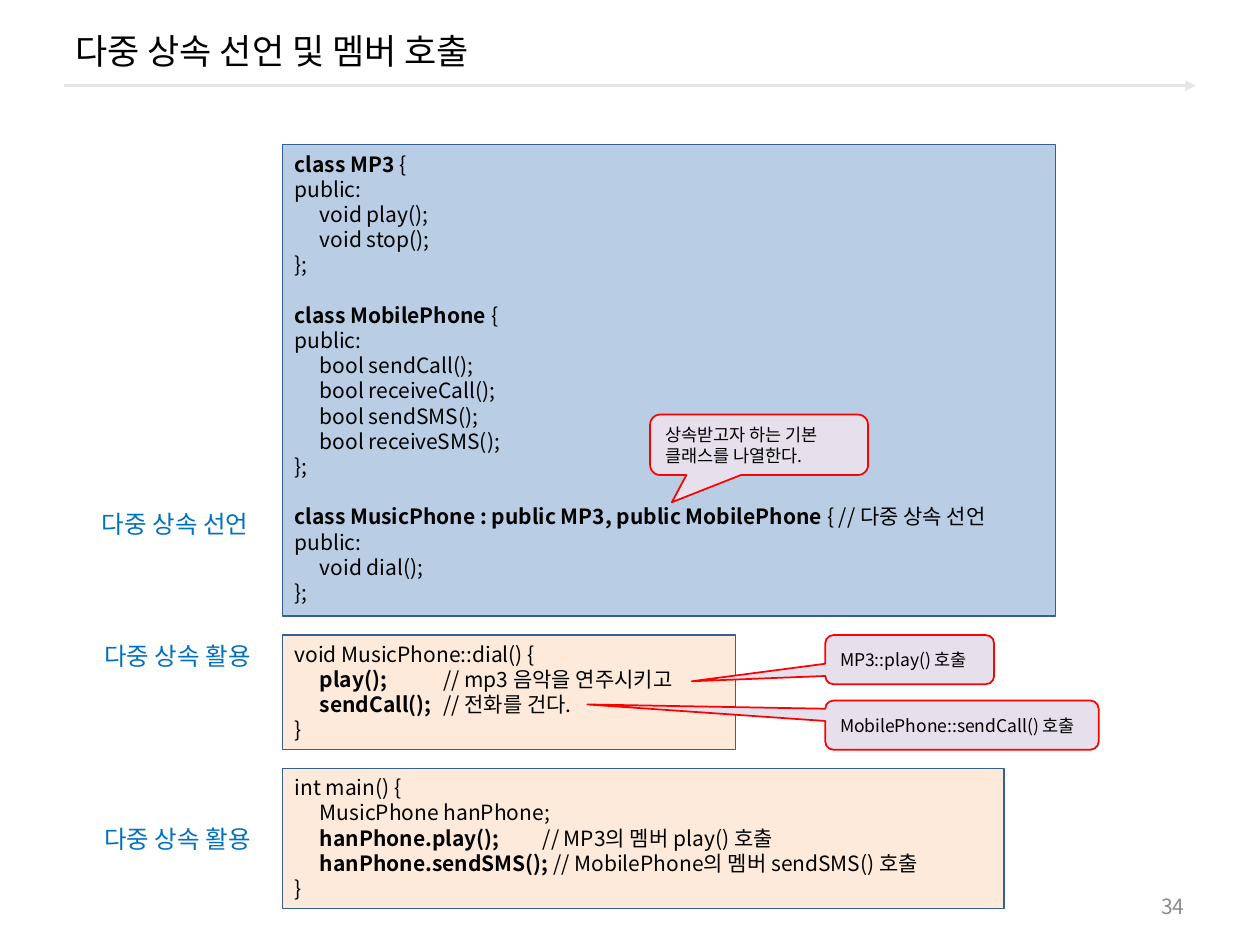
"""Build a slide on declaring multiple inheritance and calling inherited members."""
from dataclasses import dataclass

from lxml.etree import SubElement
from pptx import Presentation
from pptx.dml.color import RGBColor
from pptx.enum.shapes import MSO_CONNECTOR, MSO_SHAPE
from pptx.enum.text import MSO_ANCHOR, PP_ALIGN
from pptx.oxml.ns import qn
from pptx.util import Inches, Pt


@dataclass(frozen=True)
class Theme:
    font: str = "Noto Sans CJK KR"
    ink: str = "000000"
    label: str = "0070C0"
    number: str = "8C8C8C"
    rule: str = "E6E6E6"
    declaration: str = "B9CDE5"
    usage: str = "FDEADA"
    code_line: str = "376092"
    callout: str = "E6E0EC"
    callout_line: str = "FF0000"
    title_size: int = 20
    label_size: int = 14
    code_size: int = 12
    callout_size: int = 10
    line_height: float = 1.2


theme = Theme()


def write(box, text, size, color=theme.ink, align=PP_ALIGN.LEFT, anchor=MSO_ANCHOR.TOP, tabs=()):
    """Fill a shape with lines of text, where ** toggles bold."""
    frame = box.text_frame
    frame.word_wrap = True
    frame.vertical_anchor = anchor
    height = Pt(size * theme.line_height)
    for index, line in enumerate(text.split("\n")):
        para = frame.add_paragraph() if index else frame.paragraphs[0]
        para.alignment = align
        para.line_spacing = height
        if index and line.startswith("**class"):
            para.space_before = height
        if tabs:
            stops = SubElement(para._p.get_or_add_pPr(), qn("a:tabLst"))
            for stop in tabs:
                SubElement(stops, qn("a:tab"), pos=str(Inches(stop)), algn="l")
        for part, words in enumerate(line.split("**")):
            if not words:
                continue
            span = para.add_run()
            span.text = words
            span.font.size = Pt(size)
            span.font.bold = part % 2 == 1
            span.font.color.rgb = RGBColor.from_string(color)
            span.font.name = theme.font
            SubElement(span._r.get_or_add_rPr(), qn("a:ea"), typeface=theme.font)


def add_panel(kind, place, fill, line, width):
    """Add a filled, outlined shape without a shadow."""
    panel = page.shapes.add_shape(kind, *map(Inches, place))
    panel.shadow.inherit = False
    panel.fill.solid()
    panel.fill.fore_color.rgb = RGBColor.from_string(fill)
    panel.line.color.rgb = RGBColor.from_string(line)
    panel.line.width = Pt(width)
    return panel


deck = Presentation()
deck.slide_width = Inches(10)
deck.slide_height = Inches(7.5)
page = deck.slides.add_slide(deck.slide_layouts[6])

rule = page.shapes.add_connector(
    MSO_CONNECTOR.STRAIGHT, Inches(0.51), Inches(0.68), Inches(9.49), Inches(0.68)
)
rule.line.color.rgb = RGBColor.from_string(theme.rule)
rule.line.width = Pt(1.5)
SubElement(rule.line._get_or_add_ln(), qn("a:tailEnd"), type="triangle")
SubElement(rule._element.spPr, qn("a:effectLst"))

title = page.shapes.add_textbox(Inches(0.5), Inches(0.08), Inches(9), Inches(0.64))
write(title, "다중 상속 선언 및 멤버 호출", theme.title_size, anchor=MSO_ANCHOR.MIDDLE)

number = page.shapes.add_textbox(Inches(7.17), Inches(7.03), Inches(2.33), Inches(0.32))
write(number, "34", theme.code_size, color=theme.number, align=PP_ALIGN.RIGHT, anchor=MSO_ANCHOR.MIDDLE)

declaration_code = """**class MP3 **{
public:
\tvoid play();
\tvoid stop();
};
**class MobilePhone **{
public:
\tbool sendCall();
\tbool receiveCall();
\tbool sendSMS();
\tbool receiveSMS();
};
**class MusicPhone : public MP3, public MobilePhone **{ // 다중 상속 선언
public:
\tvoid dial();
};"""

dial_code = """void MusicPhone::dial() {
\t**play();**\t// mp3 음악을 연주시키고
\t**sendCall();**\t// 전화를 건다.
}"""

main_code = """int main() {
\tMusicPhone hanPhone;
\t**hanPhone.play();**\t// MP3의 멤버 play() 호출
\t**hanPhone.sendSMS(); **// MobilePhone의 멤버 sendSMS() 호출
}"""

code_left = 2.24
indent = 0.2
code_panels = [
    (declaration_code, 1.15, 6.14, 3.74, theme.declaration, (indent,)),
    (dial_code, 5.04, 3.6, 0.91, theme.usage, (indent, 1.18)),
    (main_code, 6.1, 5.73, 1.11, theme.usage, (indent, 1.97)),
]
for code, top, width, height, fill, tabs in code_panels:
    panel = add_panel(MSO_SHAPE.RECTANGLE, (code_left, top, width, height), fill, theme.code_line, 0.75)
    write(panel, code, theme.code_size, tabs=tabs)

callouts = [
    ("상속받고자 하는 기본 클래스를 나열한다.", (5.16, 3.29, 1.73, 0.48), (-0.4, 0.95)),
    ("MP3::play() 호출", (6.55, 5.04, 1.34, 0.39), (-1.29, 0.44)),
    ("MobilePhone::sendCall() 호출", (6.55, 5.56, 2.17, 0.39), (-1.37, -0.42)),
]
for text, place, tip in callouts:
    callout = add_panel(
        MSO_SHAPE.ROUNDED_RECTANGULAR_CALLOUT, place, theme.callout, theme.callout_line, 1
    )
    callout.adjustments[0], callout.adjustments[1] = tip
    write(callout, text, theme.callout_size, anchor=MSO_ANCHOR.MIDDLE)

labels = [
    ("다중 상속 선언", 0.71, 3.99),
    ("다중 상속 활용", 0.73, 5.04),
    ("다중 상속 활용", 0.73, 6.49),
]
for text, left, top in labels:
    label = page.shapes.add_textbox(Inches(left), Inches(top), Inches(1.52), Inches(0.34))
    write(label, text, theme.label_size, color=theme.label)

deck.save("out.pptx")
